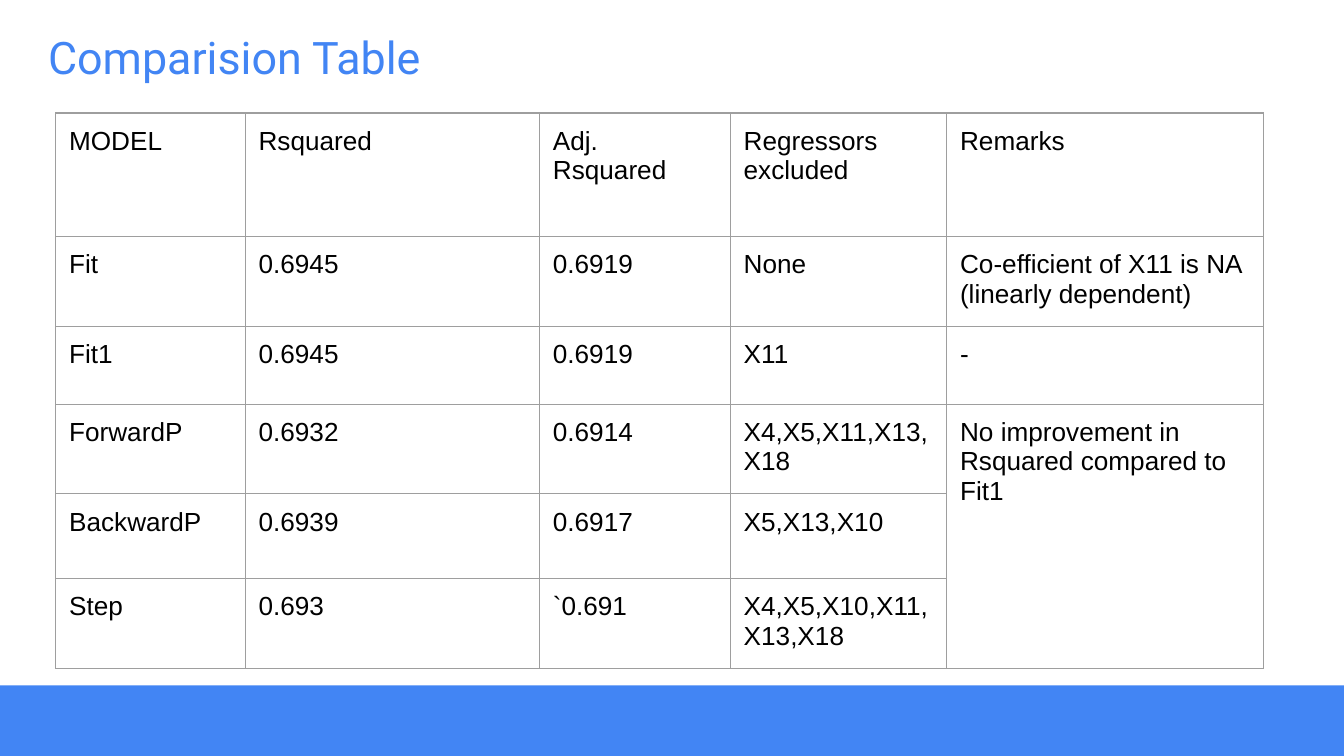
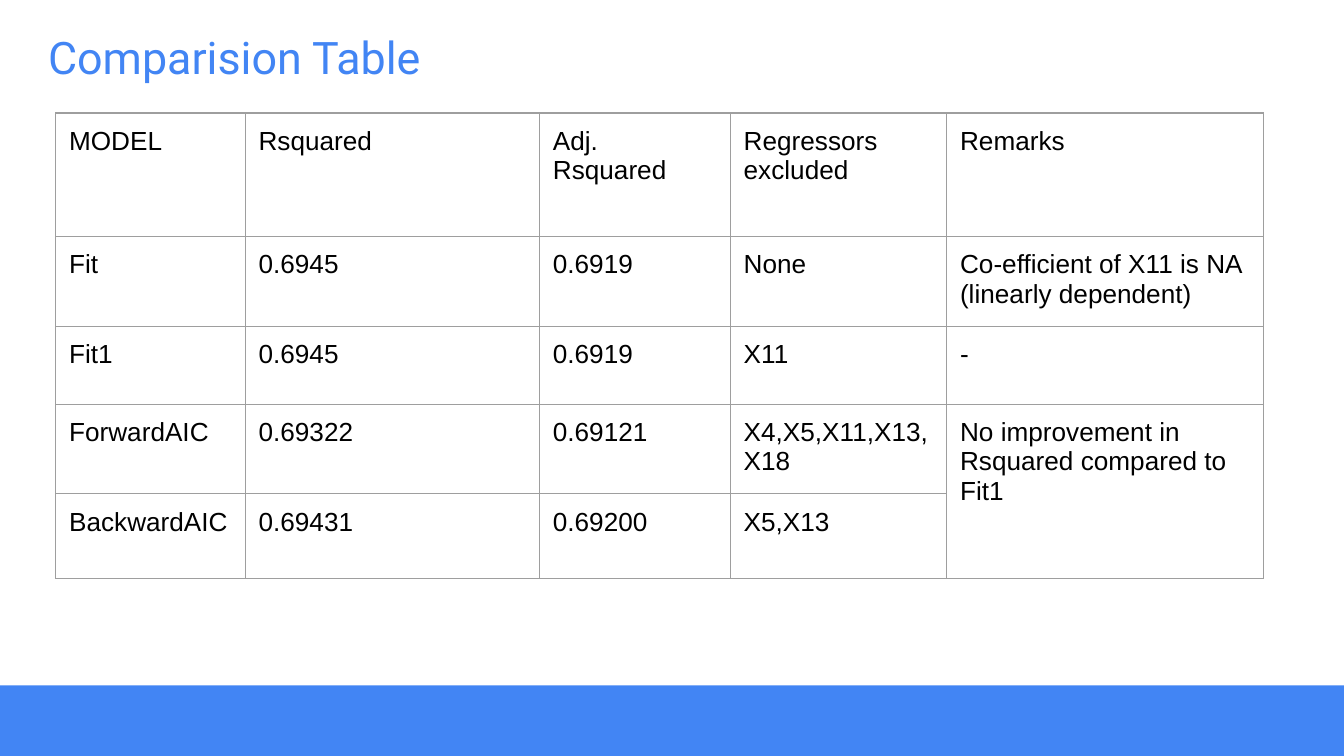
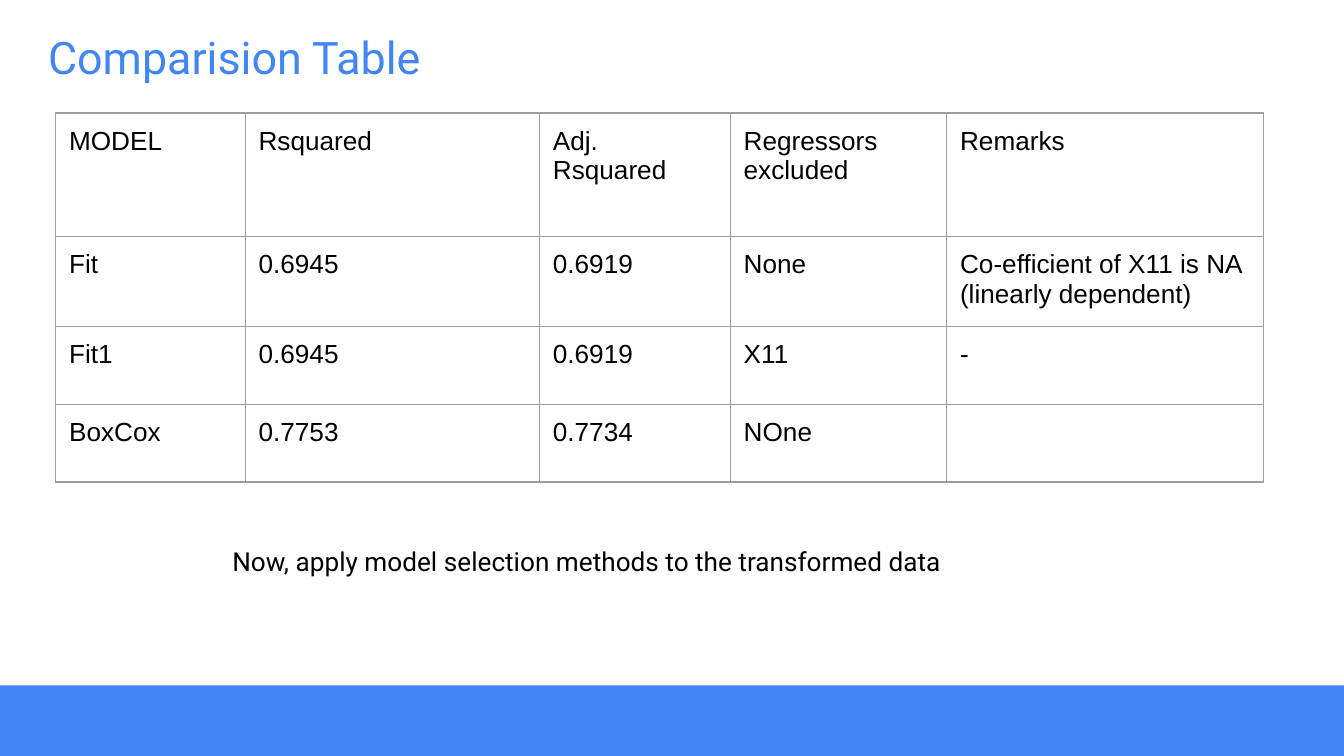
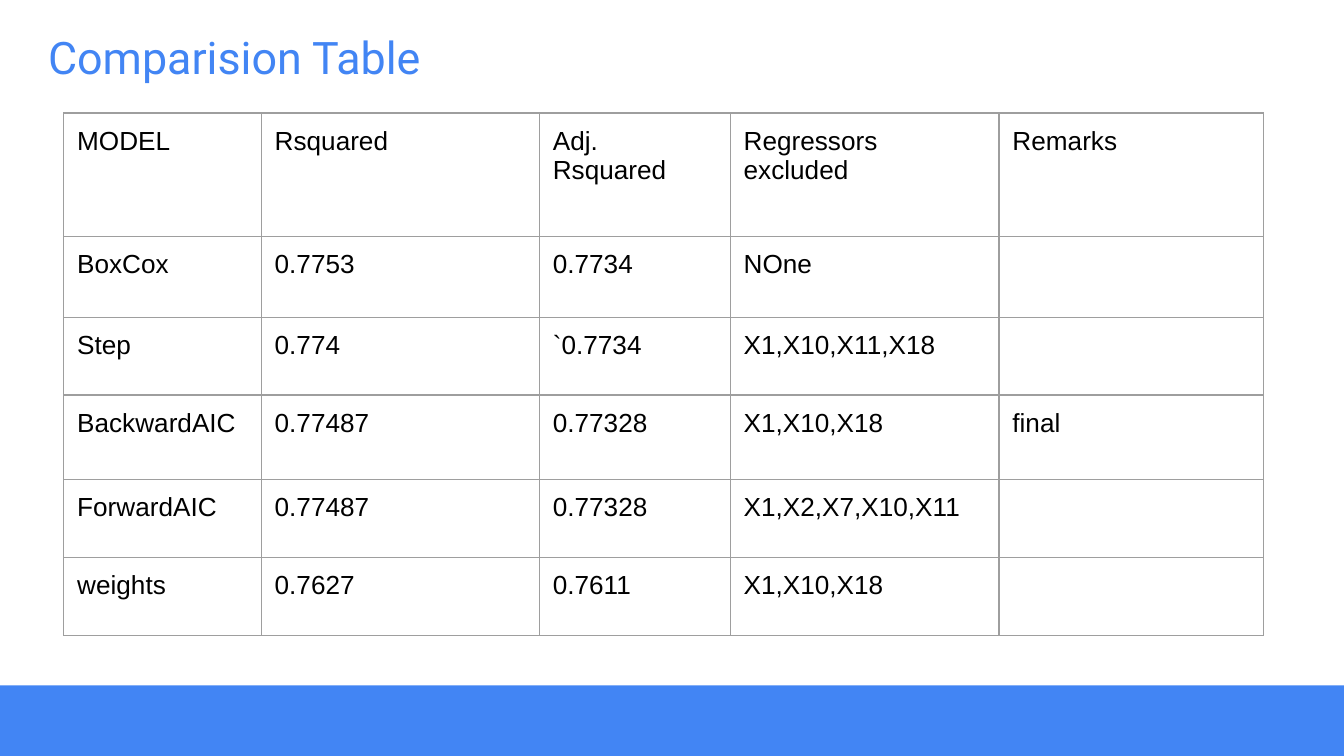
from dataclasses import dataclass

from lxml import etree
from pptx import Presentation
from pptx import util as u
from pptx.dml.color import RGBColor
from pptx.enum import shapes, text
from pptx.oxml import parse_xml
from pptx.oxml.ns import nsdecls, qn


@dataclass(frozen=True)
class Theme:
    blue: str = "4285F4"
    ink: str = "000000"
    rule: str = "9E9E9E"
    title_font: str = "Roboto"
    table_font: str = "Arial"
    title_size: int = 24
    body_size: int = 14
    rule_width: float = 0.75
    inset: float = 1


THEME = Theme()
GRID_COLUMNS, GRID_ROWS = 100, 56.25
SLIDE_WIDTH = u.Inches(10)
SLIDE_HEIGHT = SLIDE_WIDTH * 9 // 16

TITLE_BOX = (2.6, 1.1, 70.7, 6.3)
BAND_BOX = (0, 51, GRID_COLUMNS, 5.25)
NOTE_BOX = (16.3, 39.6, 58.5, 5.1)
TABLE_RIGHT, TABLE_TOP = 94.04, 8.4
WIDE_REMARKS = (14.1, 21.9, 14.2, 16.1, 23.6)
WIDE_REGRESSORS = (14.7, 20.7, 14.2, 20, 19.7)
HEADER_ROW, FIRST_ROW, PLAIN_ROW, TALL_ROW = 9.2, 6, 5.8, 6.3

HEADER = ("MODEL", "Rsquared", "Adj. Rsquared", "Regressors excluded", "Remarks")
FULL_FITS = [
    ("Fit", "0.6945", "0.6919", "None", "Co-efficient of X11 is NA (linearly dependent)"),
    ("Fit1", "0.6945", "0.6919", "X11", "-"),
]
NO_GAIN = "No improvement in Rsquared compared to Fit1"
BOX_COX = ("BoxCox", "0.7753", "0.7734", "NOne", "")

P_VALUE_MODELS = FULL_FITS + [
    ("ForwardP", "0.6932", "0.6914", "X4,X5,X11,X13,X18", NO_GAIN),
    ("BackwardP", "0.6939", "0.6917", "X5,X13,X10", ""),
    ("Step", "0.693", "`0.691", "X4,X5,X10,X11,X13,X18", ""),
]
AIC_MODELS = FULL_FITS + [
    ("ForwardAIC", "0.69322", "0.69121", "X4,X5,X11,X13,X18", NO_GAIN),
    ("BackwardAIC", "0.69431", "0.69200", "X5,X13", ""),
]
TRANSFORMED_MODELS = [
    BOX_COX,
    ("Step", "0.774", "`0.7734", "X1,X10,X11,X18", ""),
    ("BackwardAIC", "0.77487", "0.77328", "X1,X10,X18", "final"),
    ("ForwardAIC", "0.77487", "0.77328", "X1,X2,X7,X10,X11", ""),
    ("weights", "0.7627", "0.7611", "X1,X10,X18", ""),
]


def across(columns):
    return round(SLIDE_WIDTH * columns / GRID_COLUMNS)


def down(rows):
    return round(SLIDE_HEIGHT * rows / GRID_ROWS)


def place(box):
    left, top, width, height = box
    return across(left), down(top), across(width), down(height)


def inset(holder):
    holder.margin_left = holder.margin_right = across(THEME.inset)
    holder.margin_top = holder.margin_bottom = down(THEME.inset)


def write(para, words, *, font, size, color):
    para.line_spacing = 1.0
    if words:
        span = para.add_run()
        span.text = words
        span.font.name = font
        span.font.size = u.Pt(size)
        span.font.color.rgb = RGBColor.from_string(color)
    etree.SubElement(para._p, qn("a:endParaRPr"), sz=str(size * 100))


def add_band(page, box):
    band = page.shapes.add_shape(shapes.MSO_SHAPE.RECTANGLE, *place(box))
    band.shadow.inherit = False
    band.fill.solid()
    band.fill.fore_color.rgb = RGBColor.from_string(THEME.blue)
    band.line.fill.background()


def add_words(page, box, words, anchor=text.MSO_ANCHOR.TOP, **style):
    frame = page.shapes.add_textbox(*place(box)).text_frame
    frame.word_wrap = True
    frame.vertical_anchor = anchor
    inset(frame)
    write(frame.paragraphs[0], words, **style)


def outline(cell):
    properties = cell._tc.get_or_add_tcPr()
    for position, side in enumerate(("lnL", "lnR", "lnT", "lnB")):
        properties.insert(position, parse_xml(
            f'<a:{side} {nsdecls("a")} w="{u.Pt(THEME.rule_width)}"><a:solidFill>'
            f'<a:srgbClr val="{THEME.rule}"/></a:solidFill></a:{side}>'))


def fill_cell(cell, words):
    cell.fill.background()
    inset(cell)
    write(cell.text_frame.paragraphs[0], words, font=THEME.table_font,
          size=THEME.body_size, color=THEME.ink)
    outline(cell)


def row_height(index, model):
    if index < 2:
        return (HEADER_ROW, FIRST_ROW)[index]
    return TALL_ROW if model.startswith("Backward") else PLAIN_ROW


def add_models(page, models, widths, merge_from=None):
    rows = [HEADER, *models]
    heights = [row_height(index, row[0]) for index, row in enumerate(rows)]
    box = (TABLE_RIGHT - sum(widths), TABLE_TOP, sum(widths), sum(heights))
    table = page.shapes.add_table(len(rows), len(widths), *place(box)).table
    table.first_row = table.horz_banding = False
    for column, width in zip(table.columns, widths):
        column.width = across(width)
    for row, height, words in zip(table.rows, heights, rows):
        row.height = down(height)
        for cell, entry in zip(row.cells, words):
            fill_cell(cell, entry)
    if merge_from:
        remarks = len(widths) - 1
        table.cell(merge_from, remarks).merge(table.cell(len(rows) - 1, remarks))


def add_comparison(deck, models, widths=WIDE_REMARKS, merge_from=None, note=None):
    page = deck.slides.add_slide(deck.slide_layouts[6])
    add_band(page, BAND_BOX)
    add_words(page, TITLE_BOX, "Comparision Table", font=THEME.title_font,
              size=THEME.title_size, color=THEME.blue, anchor=text.MSO_ANCHOR.MIDDLE)
    add_models(page, models, widths, merge_from)
    if note:
        add_words(page, NOTE_BOX, note, font=THEME.title_font,
                  size=THEME.body_size, color=THEME.ink)


def main():
    deck = Presentation()
    deck.slide_width, deck.slide_height = SLIDE_WIDTH, SLIDE_HEIGHT
    add_comparison(deck, P_VALUE_MODELS, merge_from=3)
    add_comparison(deck, AIC_MODELS, merge_from=3)
    add_comparison(deck, FULL_FITS + [BOX_COX],
                   note="Now, apply model selection methods to the transformed data")
    add_comparison(deck, TRANSFORMED_MODELS, WIDE_REGRESSORS)
    deck.save("out.pptx")


if __name__ == "__main__":
    main()
